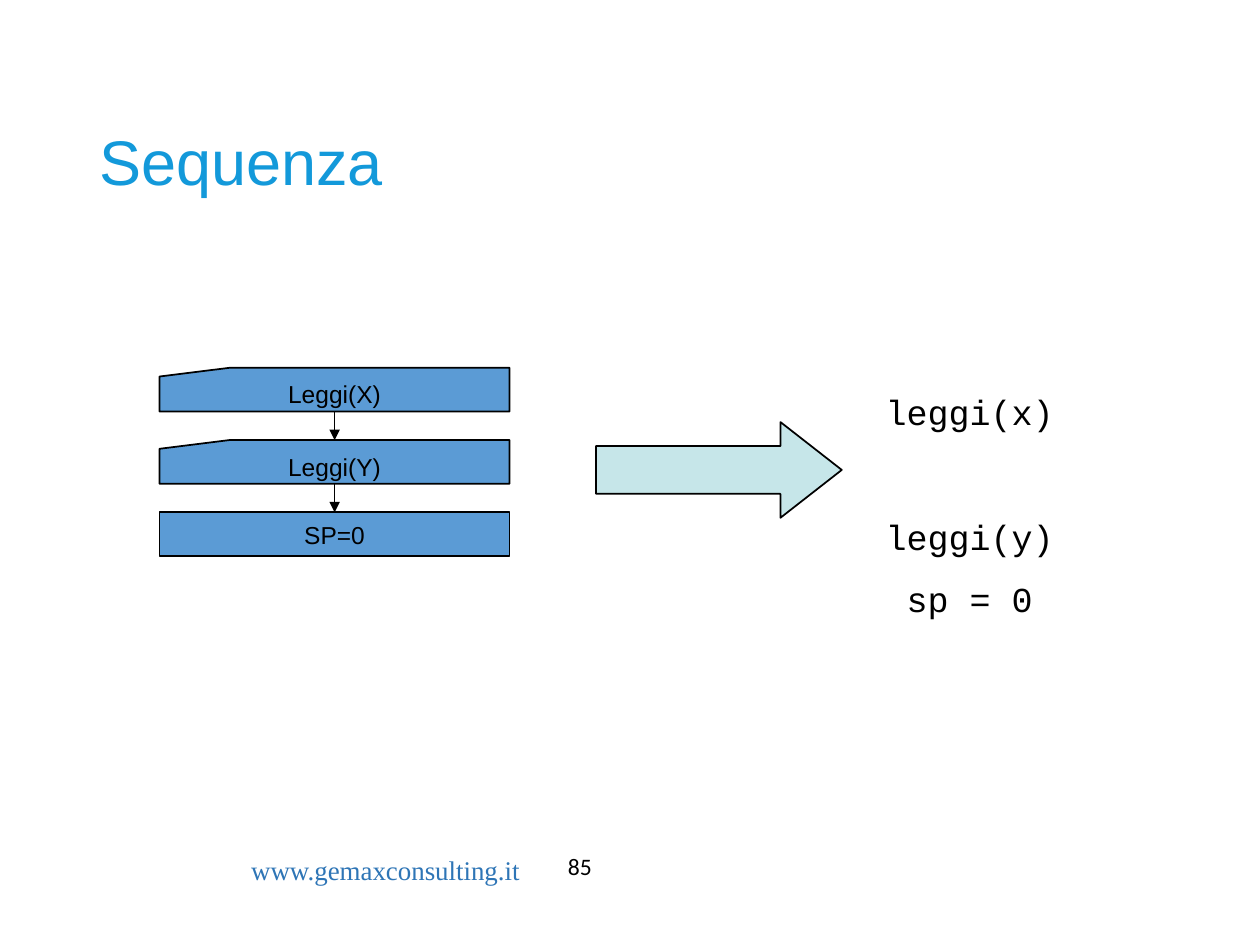
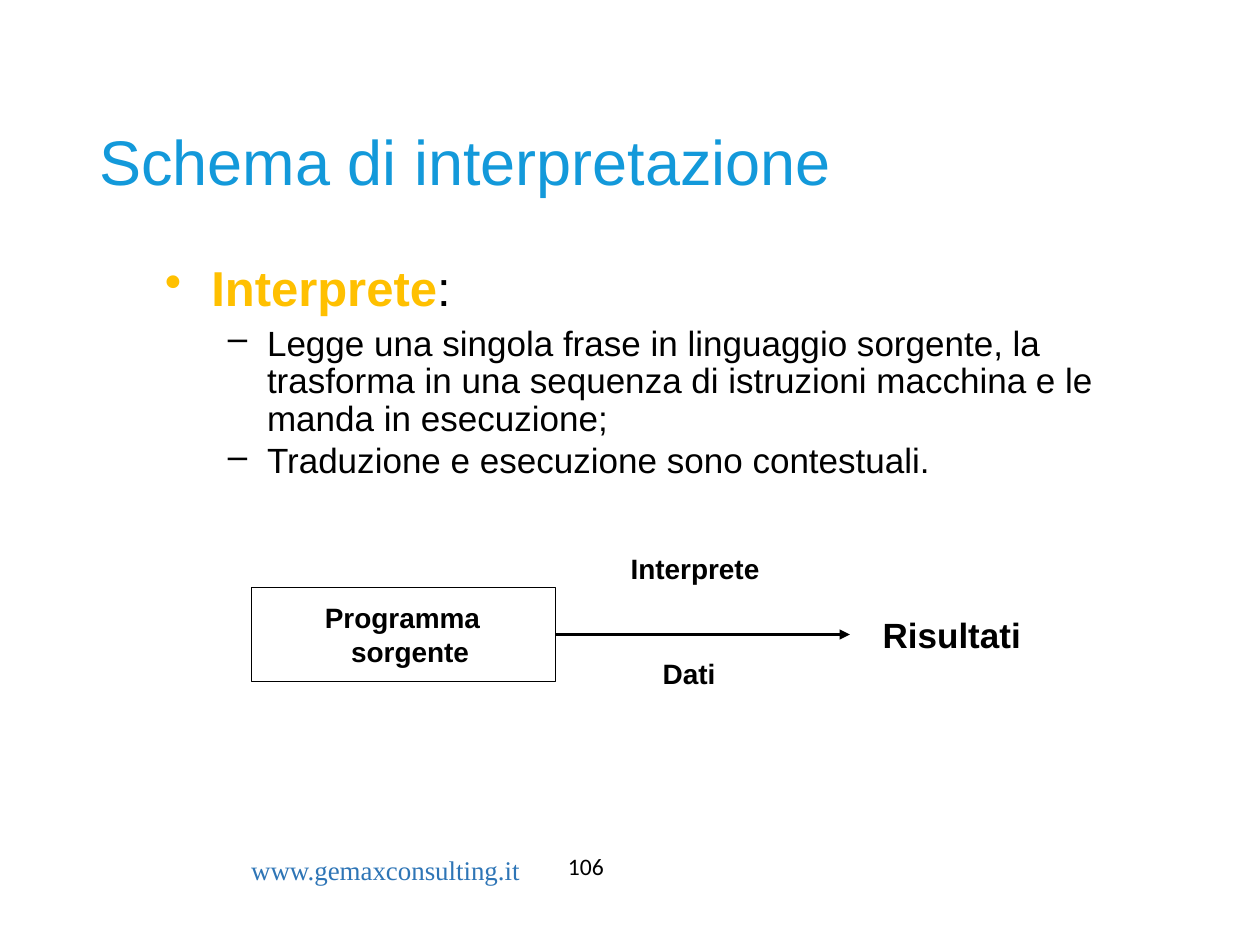
from dataclasses import dataclass

from lxml.etree import SubElement
from pptx import Presentation
from pptx.dml.color import RGBColor
from pptx.enum.shapes import MSO_CONNECTOR as Connector, MSO_SHAPE as Shape
from pptx.enum.text import MSO_ANCHOR as Anchor, PP_ALIGN as Align
from pptx.oxml.ns import qn
from pptx.util import Pt


@dataclass(frozen=True)
class Theme:
    """Colours, fonts and type sizes of the deck."""
    ink: str = "000000"
    title: str = "1399DA"
    site: str = "2E75B6"
    accent: str = "FFC000"
    step: str = "5B9BD5"
    result_arrow: str = "C6E6E9"
    sans: str = "Arial"
    mono: str = "Courier New"
    serif: str = "Times New Roman"
    number_font: str = "Calibri"
    title_size: float = 36
    lead_size: float = 28
    body_size: float = 20
    label_size: float = 16
    step_size: float = 14
    site_size: float = 15.4
    number_size: float = 13.5


THEME = Theme()


def write(frame, text, *, size, color=THEME.ink, font=THEME.sans, bold=False,
          align=Align.LEFT, spacing=None, before=0, left=0, hang=0,
          bullet=None, same_paragraph=False):
    """Write text as a new paragraph, or as a further run of the last one."""
    paragraph = frame.paragraphs[-1]
    if not same_paragraph:
        if paragraph.runs:
            paragraph = frame.add_paragraph()
        properties = paragraph._p.get_or_add_pPr()
        properties.set("marL", str(Pt(left)))
        properties.set("indent", str(Pt(-hang)))
        if bullet:
            SubElement(properties, qn("a:buChar"), char=bullet)
        paragraph.alignment = align
        paragraph.space_before = Pt(before)
        if spacing:
            paragraph.line_spacing = spacing
    for index, line in enumerate(text.split("\n")):
        if index:
            paragraph.add_line_break()
        run = paragraph.add_run()
        run.text = line
        run.font.size = Pt(size)
        run.font.name = font
        run.font.bold = bold
        run.font.color.rgb = RGBColor.from_string(color)


def set_margins(frame, side, top):
    """Set equal side margins and equal top and bottom margins."""
    frame.margin_left = frame.margin_right = Pt(side)
    frame.margin_top = frame.margin_bottom = Pt(top)


def text_area(slide, box, side=0, top=0, anchor=Anchor.TOP):
    """Add a wrapping text box and return its frame."""
    frame = slide.shapes.add_textbox(*map(Pt, box)).text_frame
    frame.word_wrap = True
    frame.vertical_anchor = anchor
    set_margins(frame, side, top)
    return frame


def outlined(slide, kind, box, fill=None, width=1.0):
    """Add a preset shape with a black outline and an optional fill."""
    shape = slide.shapes.add_shape(kind, *map(Pt, box))
    shape.shadow.inherit = False
    if fill:
        shape.fill.solid()
        shape.fill.fore_color.rgb = RGBColor.from_string(fill)
    else:
        shape.fill.background()
    shape.line.color.rgb = RGBColor.from_string(THEME.ink)
    shape.line.width = Pt(width)
    set_margins(shape.text_frame, 0, 0)
    shape.text_frame.vertical_anchor = Anchor.MIDDLE
    return shape


def arrow_from(slide, source, site, end, width=1.0):
    """Draw a straight arrow from a side of the source shape to a point."""
    arrow = slide.shapes.add_connector(Connector.STRAIGHT, 0, 0, *end)
    arrow.begin_connect(source, site)
    arrow.line.color.rgb = RGBColor.from_string(THEME.ink)
    arrow.line.width = Pt(width)
    SubElement(arrow.line._get_or_add_ln(), qn("a:tailEnd"), type="triangle")
    SubElement(arrow._element.spPr, qn("a:effectLst"))
    return arrow


def base_slide(deck, title, number):
    """Add a blank slide with its title, site address and page number."""
    slide = deck.slides.add_slide(deck.slide_layouts[6])
    write(text_area(slide, (136.5, 484, 188, 26), 7.2, 3.6),
          "www.gemaxconsulting.it", size=THEME.site_size,
          color=THEME.site, font=THEME.serif)
    write(text_area(slide, (49.7, 28.8, 620.6, 104.4), 7.2, 3.6, Anchor.MIDDLE),
          title, size=THEME.title_size, color=THEME.title, spacing=1.5)
    write(text_area(slide, (317.5, 483, 62.6, 28.8), 7.2, 3.6),
          number, size=THEME.number_size, font=THEME.number_font)
    return slide


def flowchart(slide, box):
    """Stack the sequence steps and join each one to the next."""
    x, y, width, height = box
    step_height = 25
    pitch = (height - step_height) / 2
    steps = [("Leggi(X)", Shape.FLOWCHART_CARD), ("Leggi(Y)", Shape.FLOWCHART_CARD),
             ("SP=0", Shape.RECTANGLE)]
    previous = None
    for index, (label, kind) in enumerate(steps):
        step = outlined(slide, kind, (x, y + index * pitch, width, step_height),
                        THEME.step)
        write(step.text_frame, label, size=THEME.step_size, align=Align.CENTER)
        if previous:
            link = arrow_from(slide, previous, 2, (step.left, step.top))
            link.end_connect(step, 0)
        previous = step


def result_arrow(slide, box):
    """Place the block arrow that leads from the chart to the code."""
    arrow = outlined(slide, Shape.RIGHT_ARROW, box, THEME.result_arrow)
    arrow.adjustments[0] = 0.5
    arrow.adjustments[1] = 0.64


def code_listing(slide, box):
    """Write the code lines that match the flowchart."""
    frame = text_area(slide, box)
    pitch = 35.7
    for line, before, left in [("leggi(x)", 0, 0), ("leggi(y)", pitch, 0),
                               ("sp = 0", 0, 12)]:
        write(frame, line, size=THEME.body_size, font=THEME.mono,
              spacing=Pt(pitch), before=before, left=left)


def interpreter_points(slide, box):
    """Write the bulleted definition of the interpreter."""
    frame = text_area(slide, box, 7.2, 3.6)
    write(frame, "Interprete", size=THEME.lead_size, color=THEME.accent, bold=True,
          spacing=0.9, left=64, hang=26.6, bullet="•")
    write(frame, ":", size=THEME.lead_size, same_paragraph=True)
    points = [
        ("Legge una singola frase in linguaggio sorgente, la trasforma in una "
         "sequenza di istruzioni macchina e le manda in esecuzione;", 4.8),
        ("Traduzione e esecuzione sono contestuali.", 2.2)]
    for point, before in points:
        write(frame, point, size=THEME.body_size, spacing=0.9, before=before,
              left=95.8, hang=22.3, bullet="–")


def interpretation_scheme(slide, box):
    """Draw the source program, the arrow to the results and the labels."""
    x, y, width, height = box
    program = outlined(slide, Shape.RECTANGLE, (x, y + 20.2, 174, 54), width=0.75)
    write(program.text_frame, "Programma\nsorgente", size=THEME.label_size,
          bold=True, left=57, hang=15)
    middle = program.top + program.height // 2
    arrow_from(slide, program, 3, (Pt(x + 342), middle), width=1.75)
    labels = [("Dati", 235, 59.8, THEME.label_size),
              ("Interprete", 216.7, 0, THEME.label_size),
              ("Risultati", 360.7, 35.3, THEME.body_size)]
    for label, left, top, size in labels:
        frame = text_area(slide, (x + left, y + top, width - left, size * 1.25))
        write(frame, label, size=size, bold=True)


def main():
    """Build both slides and save the deck."""
    deck = Presentation()
    deck.slide_width, deck.slide_height = Pt(720), Pt(540)

    sequence = base_slide(deck, "Sequenza", "85")
    flowchart(sequence, (91.2, 210.2, 200, 107.6))
    result_arrow(sequence, (340.6, 241.2, 140.4, 54.7))
    code_listing(sequence, (506, 211.4, 110, 143))

    interpretation = base_slide(deck, "Schema di interpretazione", "106")
    interpreter_points(interpretation, (49.7, 147.6, 620.6, 128))
    interpretation_scheme(interpretation, (143.7, 315.4, 450, 80))

    deck.save("out.pptx")


if __name__ == "__main__":
    main()
